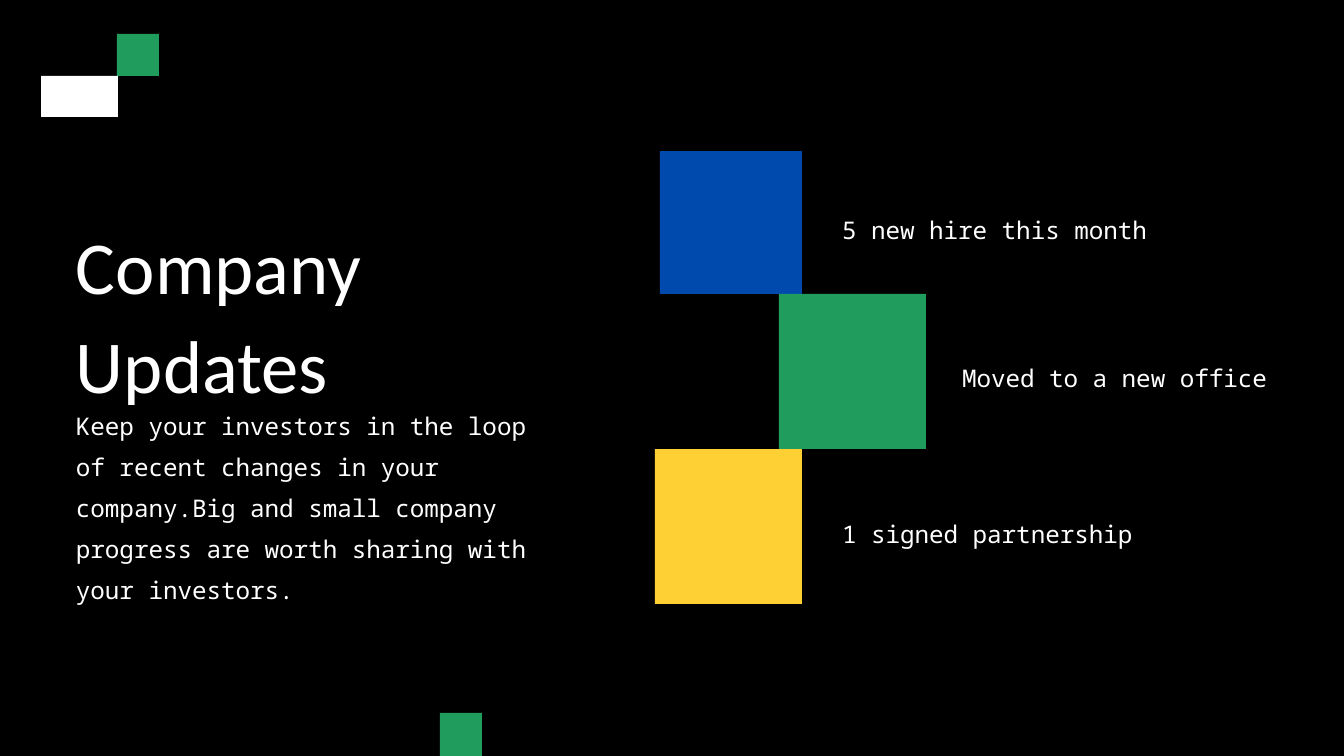
from dataclasses import dataclass

from pptx import Presentation
from pptx.dml.color import RGBColor
from pptx.enum.shapes import MSO_SHAPE
from pptx.enum.text import MSO_ANCHOR, MSO_AUTO_SIZE, PP_ALIGN
from pptx.shapes.autoshape import Shape
from pptx.slide import Slide
from pptx.util import Emu, Inches, Pt

SLIDE_WIDTH, SLIDE_HEIGHT = 1344, 756
SCALE = Inches(10) / SLIDE_WIDTH

COLOURS = {
    "black": "000000",
    "white": "FFFFFF",
    "blue": "004AAD",
    "green": "209D5C",
    "yellow": "FFD034",
}
FRAME_FORMAT = {
    "margin_left": 0,
    "margin_top": 0,
    "margin_right": 0,
    "margin_bottom": 0,
    "word_wrap": True,
    "auto_size": MSO_AUTO_SIZE.NONE,
    "vertical_anchor": MSO_ANCHOR.TOP,
}
TITLE_FONT = {"name": "Calibri", "size": Pt(40), "bold": False}
BODY_FONT = {"name": "Noto Sans Mono", "size": Pt(13), "bold": False}


@dataclass(frozen=True)
class Box:
    left: int
    top: int
    width: int
    height: int


@dataclass(frozen=True)
class Block:
    box: Box
    colour: str


@dataclass(frozen=True)
class Note:
    box: Box
    text: str


BLOCKS = [
    # Staggered column of updates
    Block(Box(660, 151, 142, 143), "blue"),
    Block(Box(779, 294, 147, 155), "green"),
    Block(Box(655, 449, 147, 155), "yellow"),
    # Corner and bottom accents
    Block(Box(117, 34, 42, 42), "green"),
    Block(Box(41, 76, 77, 41), "white"),
    Block(Box(440, 713, 42, 43), "green"),
]
TITLE = Note(Box(76, 211, 492, 167), "Company Updates")
NOTES = [
    Note(
        Box(76, 400, 492, 205),
        "Keep your investors in the loop of recent changes in your company."
        "Big and small company progress are worth sharing with your investors.",
    ),
    Note(Box(842, 204, 308, 33), "5 new hire this month"),
    Note(Box(962, 352, 308, 33), "Moved to a new office"),
    Note(Box(842, 508, 308, 33), "1 signed partnership"),
]


def px(length: int) -> Emu:
    return Emu(round(length * SCALE))


def colour(name: str) -> RGBColor:
    return RGBColor.from_string(COLOURS[name])


def edges(box: Box) -> tuple[Emu, Emu, Emu, Emu]:
    return px(box.left), px(box.top), px(box.width), px(box.height)


def apply_format(target: object, values: dict) -> None:
    for name, value in values.items():
        setattr(target, name, value)


def draw_block(slide: Slide, block: Block) -> None:
    shape = slide.shapes.add_shape(MSO_SHAPE.RECTANGLE, *edges(block.box))
    shape.shadow.inherit = False
    shape.fill.solid()
    shape.fill.fore_color.rgb = colour(block.colour)
    shape.line.fill.background()


def write_text(shape: Shape, text: str, font: dict, line_spacing: float) -> None:
    apply_format(shape.text_frame, FRAME_FORMAT)
    paragraph = shape.text_frame.paragraphs[0]
    paragraph.alignment = PP_ALIGN.LEFT
    paragraph.line_spacing = line_spacing
    run = paragraph.add_run()
    run.text = text
    apply_format(run.font, font)
    run.font.color.rgb = colour("white")


def draw_title(slide: Slide, title: Note) -> None:
    shape = slide.shapes.title
    shape.left, shape.top, shape.width, shape.height = edges(title.box)
    write_text(shape, title.text, TITLE_FONT, 1.1)


def draw_note(slide: Slide, note: Note) -> None:
    shape = slide.shapes.add_textbox(*edges(note.box))
    write_text(shape, note.text, BODY_FONT, 1.4)


def main() -> None:
    presentation = Presentation()
    presentation.slide_width = px(SLIDE_WIDTH)
    presentation.slide_height = px(SLIDE_HEIGHT)
    slide = presentation.slides.add_slide(presentation.slide_layouts[5])

    # Background
    slide.background.fill.solid()
    slide.background.fill.fore_color.rgb = colour("black")

    # Coloured blocks
    for block in BLOCKS:
        draw_block(slide, block)

    # Title, introduction and update labels
    draw_title(slide, TITLE)
    for note in NOTES:
        draw_note(slide, note)

    presentation.save("out.pptx")


if __name__ == "__main__":
    main()
